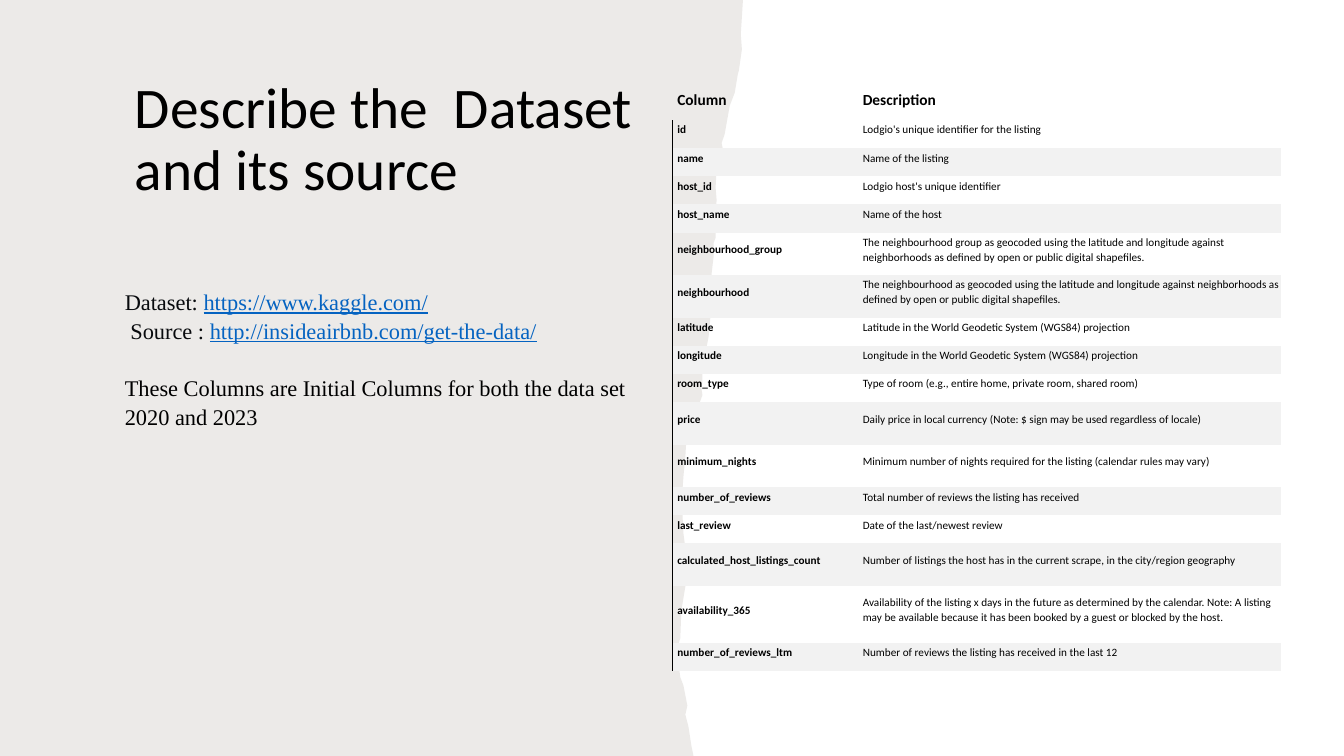
from lxml import etree
from pptx import Presentation
from pptx.dml.color import RGBColor
from pptx.enum import text
from pptx.oxml import ns
from pptx.util import Pt

BLACK = RGBColor(0x00, 0x00, 0x00)
INK = RGBColor(0x08, 0x0A, 0x0D)
LINK = RGBColor(0x05, 0x63, 0xC1)
BAND = RGBColor(0xF2, 0xF2, 0xF2)
TAUPE = RGBColor(0x82, 0x76, 0x6A)

HEADING = {"name": "Calibri", "size": Pt(41), "color": BLACK}
COLUMN_HEAD = {"name": "Calibri", "size": Pt(11), "bold": True, "color": BLACK}
COLUMN_NAME = {**COLUMN_HEAD, "size": Pt(8)}
DESCRIPTION = {**COLUMN_NAME, "bold": False}
BODY = {"name": "Times New Roman", "size": Pt(16), "color": INK}
BODY_LINK = {**BODY, "color": LINK, "underline": True}
BODY_BLACK = {**BODY, "color": BLACK}

PLAIN_TABLE = "{2D5ABB26-0587-4C30-8999-92F81FD0307C}"
HEADER_HEIGHT = 23.2
SHORT, MEDIUM, TALL = 20.1, 30.4, 40.5

COLUMNS = [
    ("id", "Lodgio's unique identifier for the listing", SHORT),
    ("name", "Name of the listing", SHORT),
    ("host_id", "Lodgio host's unique identifier", SHORT),
    ("host_name", "Name of the host", SHORT),
    ("neighbourhood_group", "The neighbourhood group as geocoded using the latitude and longitude "
     "against neighborhoods as defined by open or public digital shapefiles.", MEDIUM),
    ("neighbourhood", "The neighbourhood as geocoded using the latitude and longitude "
     "against neighborhoods as defined by open or public digital shapefiles.", MEDIUM),
    ("latitude", "Latitude in the World Geodetic System (WGS84) projection", SHORT),
    ("longitude", "Longitude in the World Geodetic System (WGS84) projection", SHORT),
    ("room_type", "Type of room (e.g., entire home, private room, shared room)", SHORT),
    ("price", "Daily price in local currency (Note: $ sign may be used regardless of locale)", MEDIUM),
    ("minimum_nights", "Minimum number of nights required for the listing "
     "(calendar rules may vary)", MEDIUM),
    ("number_of_reviews", "Total number of reviews the listing has received", SHORT),
    ("last_review", "Date of the last/newest review", SHORT),
    ("calculated_host_listings_count", "Number of listings the host has in the current scrape, "
     "in the city/region geography", MEDIUM),
    ("availability_365", "Availability of the listing x days in the future as determined by the "
     "calendar. Note: A listing may be available because it has been booked by a guest or "
     "blocked by the host.", TALL),
    ("number_of_reviews_ltm", "Number of reviews the listing has received in the last 12", SHORT),
]

TORN_EDGE = [
    (530.6, 0), (530.6, 2), (529.2, 24.5), (530, 35.3), (527.8, 50.4), (527, 53.3),
    (524.9, 66.2), (521.3, 75.6), (519.1, 87.8), (517.7, 95.8), (515.5, 102.2),
    (516.2, 105.8), (514.1, 112.3), (511.9, 121), (511.2, 133.9), (511.9, 142.6),
    (511.2, 159.1), (511.2, 169.9), (509.8, 173.5), (509.8, 182.9), (508.3, 195.8),
    (509.8, 205.2), (508.3, 208.8), (509, 210.2), (507.6, 214.6), (508.3, 217.4),
    (506.2, 240.5), (501.8, 262.8), (501.8, 272.2), (501.1, 277.9), (501.8, 282.2),
    (499.7, 288), (499.7, 293), (497.5, 295.2), (492.5, 308.9), (490.3, 313.9),
    (489.6, 326.2), (488.2, 340.6), (487.4, 352.1), (486, 357.8), (487.4, 365),
    (488.2, 380.9), (489.6, 391.7), (491, 400.3), (490.3, 414.7), (486.7, 436.3),
    (486, 455.8), (483.8, 463), (484.6, 473.8), (486, 483.8), (488.2, 489.6),
    (491, 504), (489.6, 510.5), (491.8, 519.1), (493.9, 532.8), (495.4, 540),
]


def style(font, formats):
    for name, value in formats.items():
        if name == "color":
            font.color.rgb = value
        else:
            setattr(font, name, value)


def add_spans(para, spans, line_spacing):
    para.line_spacing = line_spacing
    for words, formats in spans:
        span = para.add_run()
        span.text = words
        style(span.font, formats)


def add_torn_panel(page):
    points = [(Pt(x), Pt(y)) for x, y in TORN_EDGE + [(0, 540)]]
    builder = page.shapes.build_freeform(0, 0, scale=1.0)
    builder.add_line_segments(points, close=True)
    panel = builder.convert_to_shape()
    panel.shadow.inherit = False
    panel.line.fill.background()
    panel.fill.solid()
    panel.fill.fore_color.rgb = TAUPE
    color = panel.fill._xPr.find(".//" + ns.qn("a:srgbClr"))
    etree.SubElement(color, ns.qn("a:alpha"), val="15000")


def add_text(page, left, top, width, height, paragraphs, line_spacing,
             anchor=text.MSO_ANCHOR.TOP):
    """Each paragraph is (left margin, space before, spans)."""
    box = page.shapes.add_textbox(Pt(left), Pt(top), Pt(width), Pt(height))
    frame = box.text_frame
    frame.word_wrap = True
    frame.vertical_anchor = anchor
    for index, (margin, gap, spans) in enumerate(paragraphs):
        para = frame.add_paragraph() if index else frame.paragraphs[0]
        para._p.get_or_add_pPr().set("marL", str(Pt(margin)))
        if gap:
            para.space_before = Pt(gap)
        add_spans(para, spans, line_spacing)


def add_left_border(cell):
    """Goes before the cell's fill, as the schema orders it."""
    line = etree.Element(ns.qn("a:lnL"), w=str(Pt(0.75)))
    fill = etree.SubElement(line, ns.qn("a:solidFill"))
    etree.SubElement(fill, ns.qn("a:srgbClr"), val=str(BLACK))
    cell._tc.get_or_add_tcPr().insert(0, line)


def fill_cell(cell, words, formats, anchor, banded):
    margins = {"margin_left": 3.6, "margin_top": 0.7, "margin_right": 0.7, "margin_bottom": 7.2}
    for name, value in margins.items():
        setattr(cell, name, Pt(value))
    cell.vertical_anchor = anchor
    if banded:
        cell.fill.solid()
        cell.fill.fore_color.rgb = BAND
    else:
        cell.fill.background()
    add_spans(cell.text_frame.paragraphs[0], [(words, formats)], 1.07)


def add_column_table(page):
    rows = [("Column", "Description", HEADER_HEIGHT)] + COLUMNS
    widths = (132.5, 302.4)
    height = sum(row[2] for row in rows)
    frame = page.shapes.add_table(len(rows), 2, Pt(480.2), Pt(62.6), Pt(sum(widths)), Pt(height))
    table = frame.table
    table.horz_banding = False
    table._tbl.tblPr.find(ns.qn("a:tableStyleId")).text = PLAIN_TABLE
    for column, width in zip(table.columns, widths):
        column.width = Pt(width)
    for index, (name, description, row_height) in enumerate(rows):
        table.rows[index].height = Pt(row_height)
        anchor = text.MSO_ANCHOR.MIDDLE if index else text.MSO_ANCHOR.BOTTOM
        formats = (COLUMN_NAME, DESCRIPTION) if index else (COLUMN_HEAD, COLUMN_HEAD)
        banded = index > 0 and index % 2 == 0
        for column, words in enumerate((name, description)):
            fill_cell(table.cell(index, column), words, formats[column], anchor, banded)
        if index:
            add_left_border(table.cell(index, 0))


def main():
    deck = Presentation()
    deck.slide_width, deck.slide_height = Pt(960), Pt(540)
    page = deck.slides.add_slide(deck.slide_layouts[6])
    add_torn_panel(page)
    add_text(page, 89.3, 48.2, 376.6, 105.1,
             [(0, 0, [("Describe the  Dataset and its source", HEADING)])],
             0.9, text.MSO_ANCHOR.MIDDLE)
    add_column_table(page)
    add_text(page, 46.1, 200.9, 420.5, 141.1, [
        (36, 0, [("Dataset: ", BODY), ("https://www.kaggle.com/", BODY_LINK)]),
        (40, 0, [("Source : ", BODY), ("http://insideairbnb.com/get-the-data/", BODY_LINK)]),
        (36, 20.5, [("These Columns are Initial Columns for both the data set 2020 and 2023",
                     BODY_BLACK)]),
    ], 1.07)
    deck.save("out.pptx")


if __name__ == "__main__":
    main()
